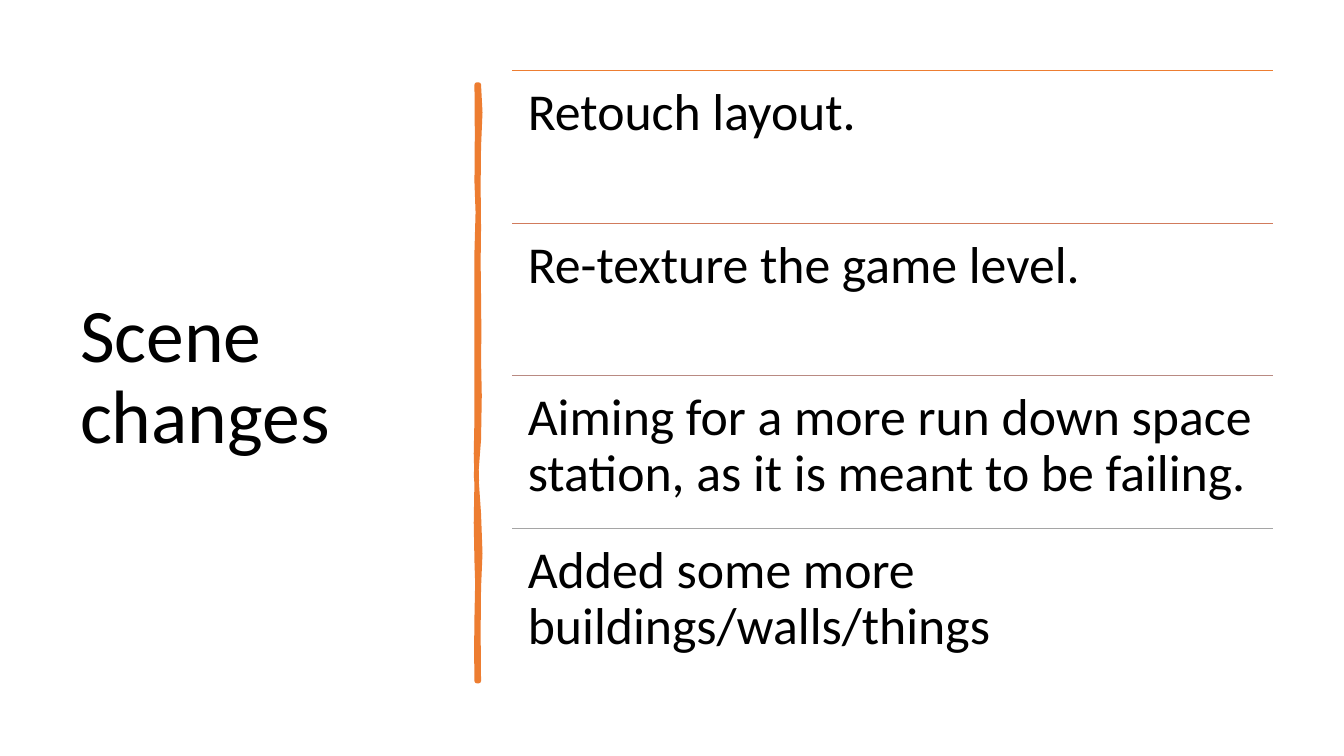
from typing import NamedTuple

from lxml import etree
from pptx import Presentation
from pptx.dml.color import RGBColor
from pptx.enum.shapes import MSO_CONNECTOR
from pptx.enum.text import MSO_ANCHOR, MSO_AUTO_SIZE, PP_ALIGN
from pptx.oxml.ns import qn
from pptx.slide import Slide
from pptx.text.text import TextFrame
from pptx.util import Pt

STRAIGHT = MSO_CONNECTOR.STRAIGHT
LEFT = PP_ALIGN.LEFT
TOP, MIDDLE = MSO_ANCHOR.TOP, MSO_ANCHOR.MIDDLE
NO_AUTOFIT = MSO_AUTO_SIZE.NONE

FONT = "Calibri"
BLACK = RGBColor(0x00, 0x00, 0x00)
ORANGE = RGBColor(0xED, 0x7D, 0x31)
TERRACOTTA = RGBColor(0xD1, 0x7B, 0x5C)
DUSTY_ROSE = RGBColor(0xB9, 0x8A, 0x82)
GREY = RGBColor(0xA5, 0xA5, 0xA5)

TITLE_ONLY = 5
LIST_LEFT, LIST_TOP, LIST_WIDTH, ROW_HEIGHT = 366, 50.5, 543.6, 108.95
BAR_TOP, BAR_BOTTOM = 60.5, 486.5
BAR_RIGHT, BAR_LEFT = 342, 340.56
CURVE_STEPS = 2


class Change(NamedTuple):
    text: str
    rule_color: RGBColor


class Bend(NamedTuple):
    """A curve along one edge: two sideways pulls with heights, then its end."""
    pull_1: float
    y_1: float
    pull_2: float
    y_2: float
    end_y: float


CHANGES = [
    Change("Retouch layout.", ORANGE),
    Change("Re-texture the game level.", TERRACOTTA),
    Change("Aiming for a more run down space station, as it is meant to be failing.",
           DUSTY_ROSE),
    Change("Added some more buildings/walls/things", GREY),
]

RIGHT_EDGE = [
    Bend(1.4, 73, 1.4, 86, 105), Bend(-1.4, 125, 0.7, 140, 163),
    Bend(-0.7, 185, 0, 189, 212), Bend(-0.7, 234, 1.4, 246, 256),
    Bend(-1.4, 266, 2.9, 298, 314), Bend(-2.9, 329, -2.2, 348, 367),
    Bend(1.4, 386, 1.4, 406, 420), Bend(-1.4, 434, 0.7, 468, BAR_BOTTOM),
]
LEFT_EDGE = [
    Bend(0.7, 465, -1.4, 464, 441), Bend(0.7, 420, 0.7, 410, 401),
    Bend(-0.7, 392, -0.7, 356, 343), Bend(0, 330, -1.4, 320, 299),
    Bend(0.7, 278, -0.7, 269, 241), Bend(0.7, 215, -0.7, 202, 180),
    Bend(0.7, 157, 1.4, 144, 130), Bend(-2.2, 117, 2.9, 75, BAR_TOP),
]


def edge_points(edge_x: float, start_y: float,
                bends: list[Bend]) -> list[tuple[float, float]]:
    """Sample the cubic curves that follow one edge of the bar."""
    points = [(edge_x, start_y)]
    for bend in bends:
        for step in range(1, CURVE_STEPS + 1):
            t = step / CURVE_STEPS
            u = 1 - t
            a, b, c, d = u ** 3, 3 * u * u * t, 3 * u * t * t, t ** 3
            points.append((edge_x + b * bend.pull_1 + c * bend.pull_2,
                           a * start_y + b * bend.y_1 + c * bend.y_2 + d * bend.end_y))
        start_y = bend.end_y
    return points


def draw_bar(slide: Slide) -> None:
    points = (edge_points(BAR_RIGHT, BAR_TOP, RIGHT_EDGE)
              + edge_points(BAR_LEFT, BAR_BOTTOM, LEFT_EDGE))
    (x, y), *rest = [(Pt(px), Pt(py)) for px, py in points]
    builder = slide.shapes.build_freeform(x, y)
    builder.add_line_segments(rest, close=True)
    bar = builder.convert_to_shape()
    bar.shadow.inherit = False
    bar.fill.solid()
    bar.fill.fore_color.rgb = ORANGE
    bar.line.color.rgb = ORANGE
    bar.line.width = Pt(3.25)


def write_text(frame: TextFrame, text: str, size: float, anchor: MSO_ANCHOR) -> None:
    frame.word_wrap = True
    frame.auto_size = NO_AUTOFIT
    frame.vertical_anchor = anchor
    paragraph = frame.paragraphs[0]
    paragraph.alignment = LEFT
    paragraph.line_spacing = 0.9
    run = paragraph.add_run()
    run.text = text
    run.font.name = FONT
    run.font.size = Pt(size)
    run.font.color.rgb = BLACK


def draw_title(slide: Slide) -> None:
    title = slide.shapes.title
    title.left, title.top, title.width, title.height = Pt(50), Pt(50.4), Pt(269), Pt(440)
    write_text(title.text_frame, "Scene changes", 54, MIDDLE)


def draw_change(slide: Slide, change: Change, top: float) -> None:
    rule = slide.shapes.add_connector(
        STRAIGHT, Pt(LIST_LEFT), Pt(top), Pt(LIST_LEFT + LIST_WIDTH), Pt(top))
    rule.line.color.rgb = change.rule_color
    rule.line.width = Pt(1)
    etree.SubElement(rule._element.spPr, qn("a:effectLst"))

    entry = slide.shapes.add_textbox(
        Pt(LIST_LEFT), Pt(top), Pt(LIST_WIDTH), Pt(ROW_HEIGHT))
    frame = entry.text_frame
    frame.margin_left = frame.margin_right = Pt(11)
    frame.margin_top = frame.margin_bottom = Pt(11)
    write_text(frame, change.text, 37, TOP)


def main() -> None:
    deck = Presentation()
    deck.slide_width, deck.slide_height = Pt(960), Pt(540)
    slide = deck.slides.add_slide(deck.slide_layouts[TITLE_ONLY])

    # Title and hand-drawn divider
    draw_title(slide)
    draw_bar(slide)

    # Ruled list of changes
    for row, change in enumerate(CHANGES):
        draw_change(slide, change, LIST_TOP + row * ROW_HEIGHT)

    deck.save("out.pptx")


if __name__ == "__main__":
    main()
